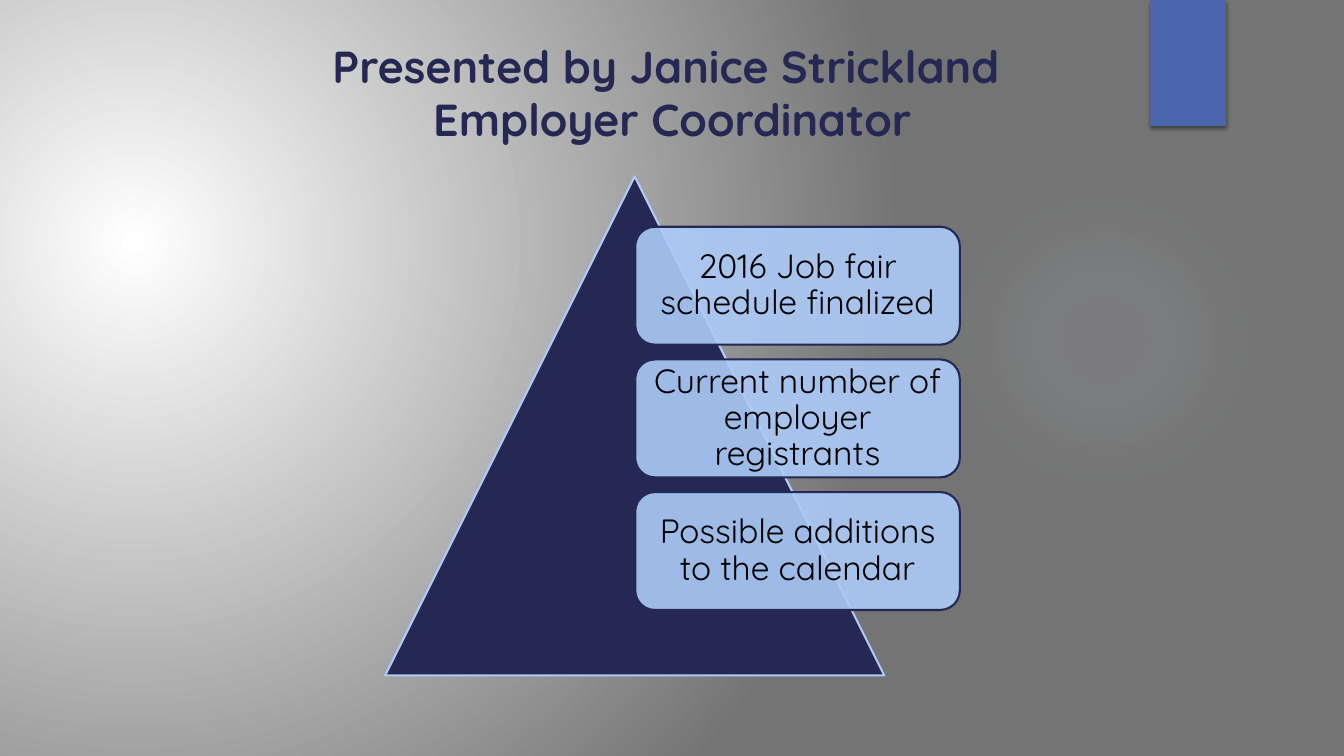
from pptx import Presentation
from pptx.dml.color import RGBColor
from pptx.enum.shapes import MSO_SHAPE as Shape
from pptx.enum.text import MSO_ANCHOR as Anchor, PP_ALIGN as Align
from pptx.oxml import parse_xml
from pptx.oxml.ns import nsdecls, qn
from pptx.util import Inches, Pt

COLORS = {
    "navy": "242852",
    "sky": "ACCBF9",
    "blue": "4A66AC",
    "glow": "DEEAFD",
    "white": "FFFFFF",
    "gray": "747474",
    "black": "000000",
}
FONT = "Quicksand"


def add_box(kind, left, top, width, height, fill=None, line=None):
    box = page.shapes.add_shape(
        kind, Inches(left), Inches(top), Inches(width), Inches(height))
    box.shadow.inherit = False
    if fill:
        box.fill.solid()
        box.fill.fore_color.rgb = RGBColor.from_string(COLORS[fill])
    if line:
        box.line.color.rgb = RGBColor.from_string(COLORS[line])
        box.line.width = Pt(1.5)
    else:
        box.line.fill.background()
    return box


def set_radial(owner, stops, focus):
    owner.fill_target.gradient() if hasattr(owner, "fill_target") else owner.fill.gradient()


def radial_fill(fill, element, stops, focus):
    fill.gradient()
    stop_xml = "".join(
        f'<a:gs pos="{position * 1000}"><a:srgbClr val="{COLORS[color]}">'
        f'<a:alpha val="{alpha * 1000}"/></a:srgbClr></a:gs>'
        for position, color, alpha in stops)
    left, top, right, bottom = [side * 1000 for side in focus]
    gradient = parse_xml(
        f'<a:gradFill {nsdecls("a")} rotWithShape="1"><a:gsLst>{stop_xml}</a:gsLst>'
        f'<a:path path="circle"><a:fillToRect l="{left}" t="{top}" r="{right}" '
        f'b="{bottom}"/></a:path></a:gradFill>')
    plain = element.find(".//" + qn("a:gradFill"))
    plain.getparent().replace(plain, gradient)


deck = Presentation()
deck.slide_width = Inches(13.33)
deck.slide_height = Inches(7.5)
page = deck.slides.add_slide(deck.slide_layouts[6])
radial_fill(page.background.fill, page.element,
            [(0, "white", 100), (100, "gray", 100)], (45, 65, 125, 100))

glow = add_box(Shape.OVAL, 9.41, 1.83, 3.08, 3.08)
radial_fill(glow.fill, glow.element,
            [(0, "glow", 7), (36, "glow", 6), (69, "glow", 0)], (50, 50, 50, 50))

ribbon = add_box(Shape.RECTANGLE, 11.41, 0, 0.75, 1.25, "blue")
ribbon.element.spPr.find(qn("a:effectLst")).append(parse_xml(
    f'<a:outerShdw {nsdecls("a")} blurRad="{Pt(3)}" dist="{Pt(2)}" dir="5400000">'
    f'<a:srgbClr val="{COLORS["black"]}"><a:alpha val="45000"/></a:srgbClr>'
    '</a:outerShdw>'))

title = page.shapes.add_textbox(Inches(2.17), Inches(0.33), Inches(9), Inches(1.12))
title.text_frame.word_wrap = True
title.text_frame.text = "Presented by Janice Strickland \vEmployer Coordinator"
heading = title.text_frame.paragraphs[0]
heading.alignment = Align.CENTER
for span in heading.runs:
    span.font.name = FONT
    span.font.size = Pt(32)
    span.font.bold = True
    span.font.color.rgb = RGBColor.from_string(COLORS["navy"])

add_box(Shape.ISOSCELES_TRIANGLE, 3.82, 1.75, 4.95, 4.95, "navy", "sky")

topics = [
    "2016 Job fair schedule finalized",
    "Current number of employer registrants",
    "Possible additions to the calendar",
]
for index, topic in enumerate(topics):
    card = add_box(Shape.ROUNDED_RECTANGLE, 6.3, 2.25 + index * 1.316, 3.22, 1.17,
                   "sky", "navy")
    card.element.spPr.find(qn("a:solidFill"))[0].append(
        parse_xml(f'<a:alpha {nsdecls("a")} val="90000"/>'))
    frame = card.text_frame
    frame.word_wrap = True
    frame.vertical_anchor = Anchor.MIDDLE
    frame.margin_left = frame.margin_right = Inches(0.1)
    frame.margin_top = frame.margin_bottom = Inches(0.1)
    frame.text = topic
    para = frame.paragraphs[0]
    para.alignment = Align.CENTER
    para.line_spacing = 0.9
    span = para.runs[0]
    span.font.name = FONT
    span.font.size = Pt(24)
    span.font.color.rgb = RGBColor.from_string(COLORS["black"])

deck.save("out.pptx")
